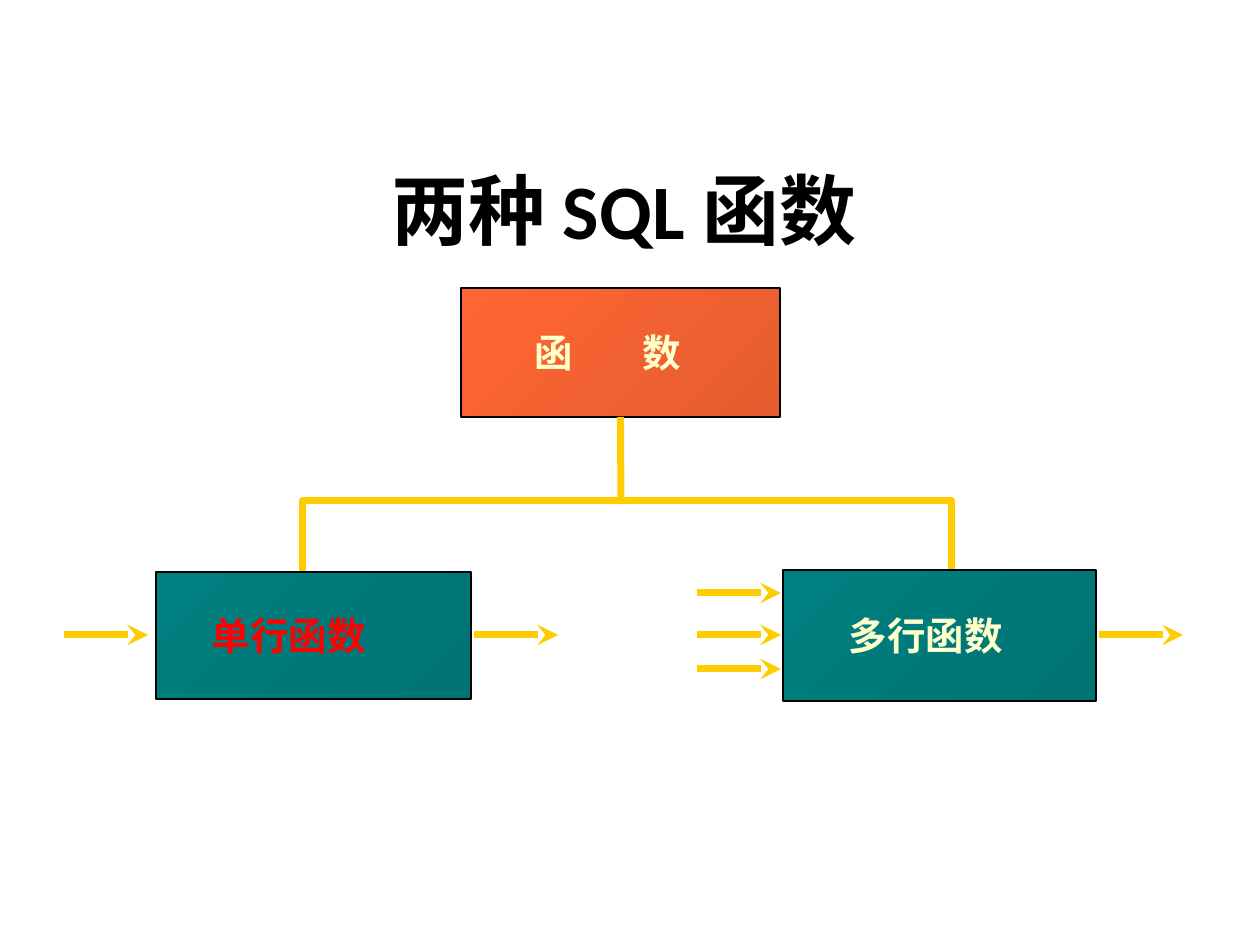
"""Build a slide that shows the two kinds of SQL function as a tree."""
from lxml.etree import SubElement
from pptx import Presentation
from pptx.dml.color import RGBColor
from pptx.enum.shapes import MSO_CONNECTOR, MSO_SHAPE
from pptx.enum.text import MSO_ANCHOR, PP_ALIGN
from pptx.oxml.ns import qn
from pptx.util import Pt

HUES = {
    "black": "000000", "gold": "FFCC00", "cream": "FFFFCC", "red": "FF0000",
    "orange": ("FF6633", "E55C2E"), "teal": ("008080", "007373"),
}
TITLE = ("两种 SQL 函数", (93, 156, 1061, 198))
BOXES = [
    ("函\t数", (461, 288, 319, 129), "orange", "cream", 73),
    ("单行函数", (156, 572, 315, 127), "teal", "red", 56),
    ("多行函数", (783, 570, 313, 131), "teal", "cream", 66),
]
TAB = 108
TREE = [(303, 571), (303, 501), (952, 501), (952, 575)]
ARROWS = [(64, 635), (474, 635), (697, 635), (1099, 635), (697, 593), (697, 669)]
REACH = 84


def px(num):
    return round(num * 914400 / 126)


def hue(name):
    return RGBColor.from_string(HUES.get(name, name))


def write(shape, text, size=22, face="Arial", color="cream", left=13,
          align=PP_ALIGN.LEFT, anchor=MSO_ANCHOR.MIDDLE):
    frame = shape.text_frame
    frame.word_wrap = True
    frame.vertical_anchor = anchor
    frame.margin_left = px(left)
    para = frame.paragraphs[0]
    para.alignment = align
    if "\t" in text:
        tabs = SubElement(para._p.get_or_add_pPr(), qn("a:tabLst"))
        SubElement(tabs, qn("a:tab"), pos=str(px(TAB)), algn="l")
    run = para.add_run()
    run.text = text
    font = run.font
    font.size, font.name, font.bold = Pt(size), face, True
    font.color.rgb = hue(color)


def stroke(line, color="gold", width=4):
    line.color.rgb = hue(color)
    line.width = Pt(width)


def draw_tree(shapes):
    start, *rest = [(px(x), px(y)) for x, y in TREE]
    build = shapes.build_freeform(*start)
    build.add_line_segments(rest, close=False)
    tree = build.convert_to_shape()
    tree.fill.background()
    tree.shadow.inherit = False
    stroke(tree.line)


def draw_box(shapes, text, place, fill, color, left):
    box = shapes.add_shape(MSO_SHAPE.RECTANGLE, *map(px, place))
    box.shadow.inherit = False
    box.fill.gradient()
    box.fill.gradient_angle = 315
    for stop, tone in zip(box.fill.gradient_stops, HUES[fill]):
        stop.color.rgb = hue(tone)
    stroke(box.line, "black", 1)
    write(box, text, color=color, left=left)
    return box


def draw_line(shapes, *ends, head=False):
    link = shapes.add_connector(MSO_CONNECTOR.STRAIGHT, *map(px, ends))
    stroke(link.line)
    if head:
        SubElement(link.line._get_or_add_ln(), qn("a:tailEnd"), type="stealth")
    SubElement(link._element.spPr, qn("a:effectLst"))
    return link


def main():
    deck = Presentation()
    deck.slide_width, deck.slide_height = px(1260), px(945)
    shapes = deck.slides.add_slide(deck.slide_layouts[6]).shapes
    draw_tree(shapes)
    text, place = TITLE
    write(shapes.add_textbox(*map(px, place)), text, size=44, face="Calibri",
          color="black", align=PP_ALIGN.CENTER, anchor=MSO_ANCHOR.TOP)
    root, *kinds = [draw_box(shapes, *item) for item in BOXES]
    trunk = draw_line(shapes, 621, 504, 621, 417)
    trunk.end_connect(root, 2)
    for x, y in ARROWS:
        draw_line(shapes, x, y, x + REACH, y, head=True)
    deck.save("out.pptx")


if __name__ == "__main__":
    main()
